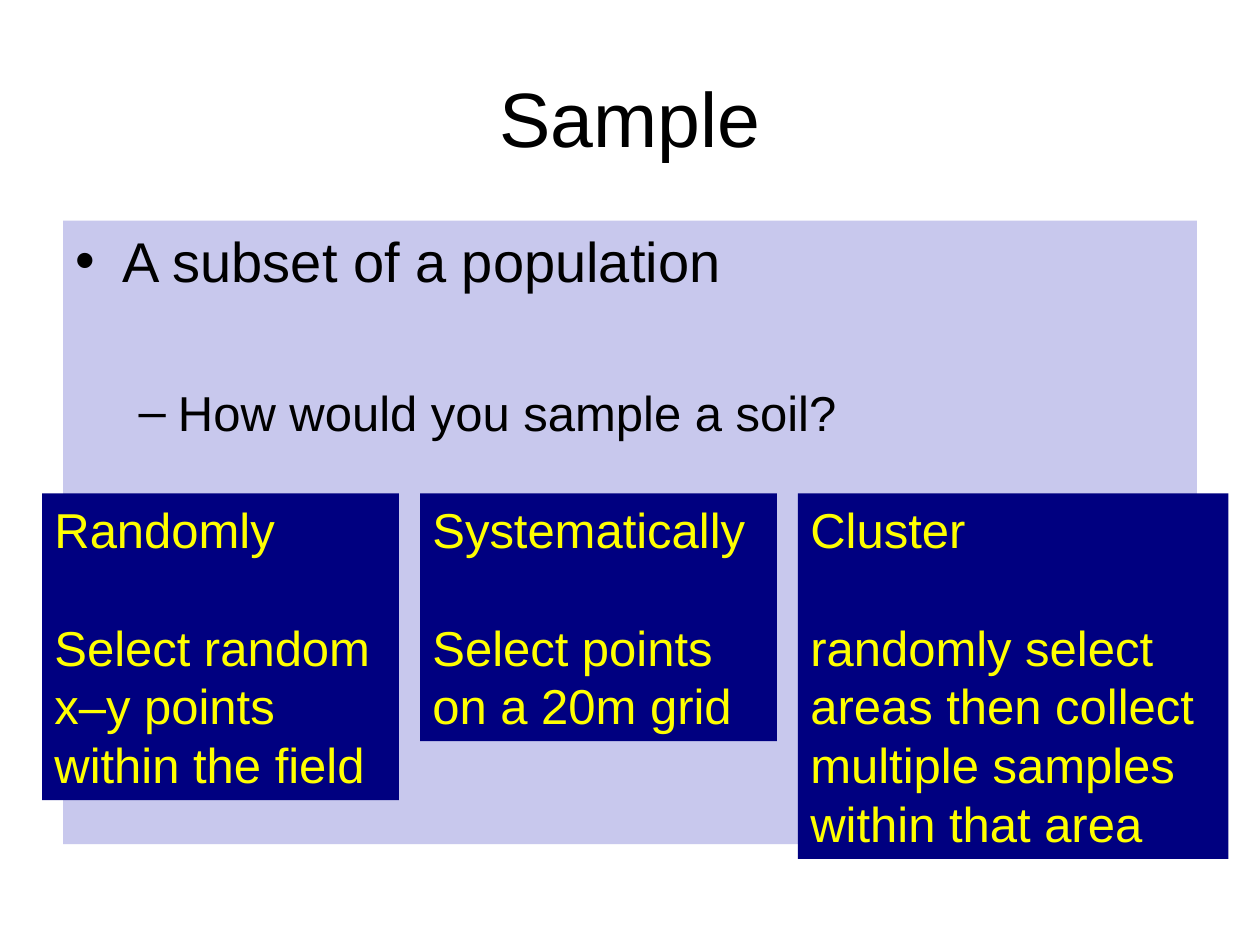
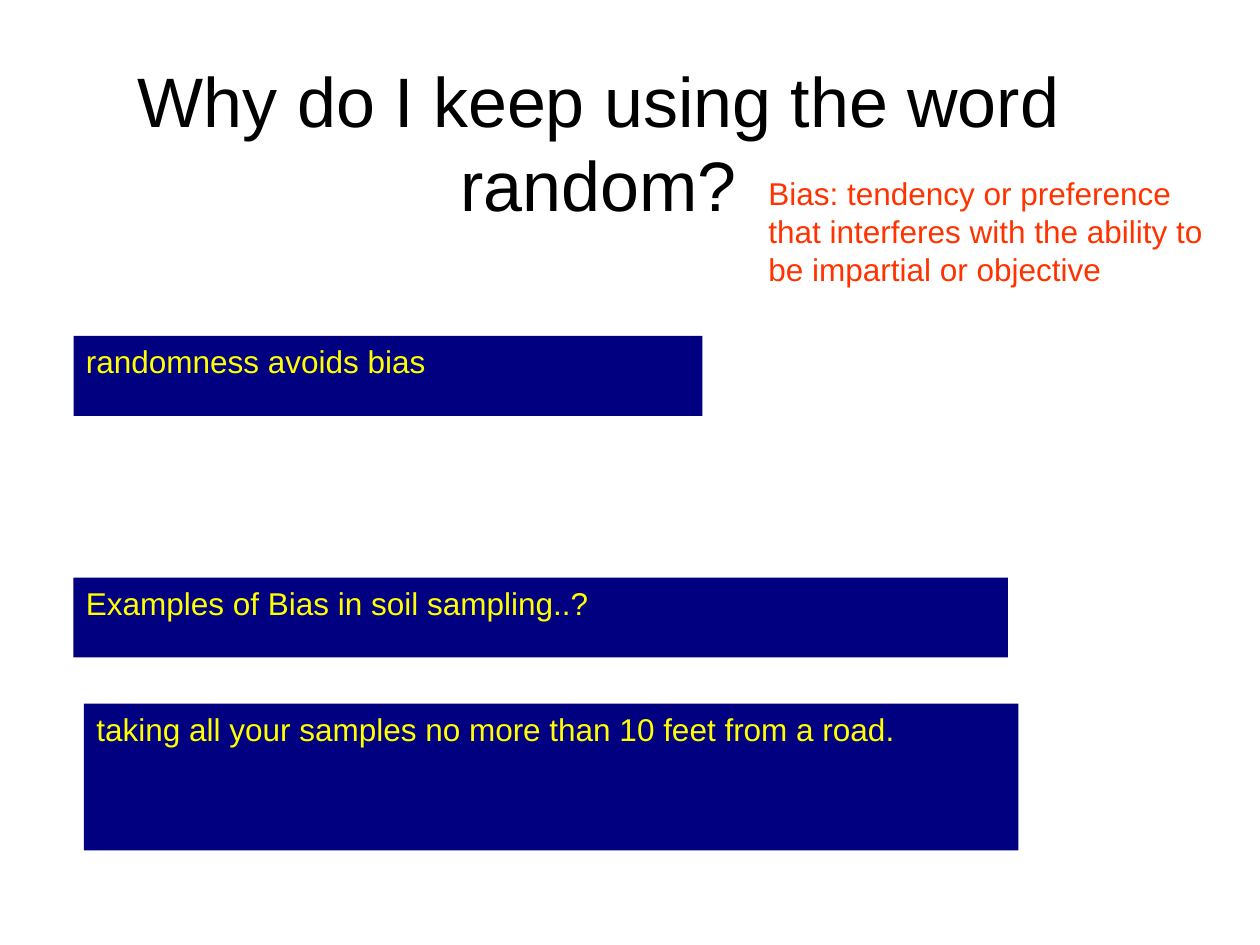
from dataclasses import dataclass
from lxml.etree import SubElement
from pptx import Presentation
from pptx.dml.color import RGBColor as Rgb
from pptx.enum.text import MSO_ANCHOR as Anchor, MSO_AUTO_SIZE as AutoSize, PP_ALIGN as Align
from pptx.oxml.ns import qn
from pptx.util import Inches, Pt

COLUMNS, ROWS = 120, 90  # grid laid over the slide


@dataclass(frozen=True)
class Theme:
    font: str = "Arial"
    ink: Rgb = Rgb.from_string("000000")
    paper: Rgb = Rgb.from_string("FFFFFF")
    navy: Rgb = Rgb.from_string("000080")
    yellow: Rgb = Rgb.from_string("FFFF00")
    red: Rgb = Rgb.from_string("FF3300")
    lavender: Rgb = Rgb.from_string("9C9CDF")
    lavender_opacity: int = 55
    title: int = 44
    long_title: int = 40
    topic: int = 32
    question: int = 28
    card: int = 28
    note: int = 18
    question_gap: float = 50.5
    card_gap: float = 33.5


THEME = Theme()


def place(item, column, row, columns, rows):
    """Set an element's place in grid units."""
    unit = Inches(10) / COLUMNS
    item.left, item.top, item.width, item.height = (
        round(n * unit) for n in (column, row, columns, rows))


def fill_solid(item, color, opacity=100):
    item.fill.solid()
    item.fill.fore_color.rgb = color
    if opacity < 100:
        tint = item.fill._xPr.find(qn("a:solidFill"))[0]
        SubElement(tint, qn("a:alpha"), val=str(opacity * 1000))


def write(paragraph, text, size, color=THEME.ink):
    run = paragraph.add_run()
    run.text = text
    run.font.name, run.font.size = THEME.font, Pt(size)
    run.font.color.rgb = color


def add_paragraph(frame, first):
    return frame.paragraphs[0] if first else frame.add_paragraph()


def set_title(slide, text, size, *area):
    title = slide.shapes.title
    place(title, *area)
    frame = title.text_frame
    frame.auto_size, frame.vertical_anchor = AutoSize.NONE, Anchor.MIDDLE
    heading = frame.paragraphs[0]
    heading.alignment = Align.CENTER
    write(heading, text, size)


def set_outline(slide, entries, *area):
    """Fill the body with (text, level, size, gap before or None)."""
    outline = slide.placeholders[1]
    place(outline, *area)
    fill_solid(outline, THEME.lavender, THEME.lavender_opacity)
    frame = outline.text_frame
    frame.auto_size = AutoSize.NONE
    for number, (text, level, size, gap) in enumerate(entries):
        entry = add_paragraph(frame, number == 0)
        entry.level = level
        if gap is not None:
            entry.space_before = Pt(gap)
        write(entry, text, size)


def add_panel(slide, lines, size, *area, color=THEME.yellow, back=THEME.navy, heading_gap=0):
    panel = slide.shapes.add_textbox(0, 0, 0, 0)
    place(panel, *area)
    fill_solid(panel, back)
    frame = panel.text_frame
    frame.word_wrap, frame.auto_size = True, AutoSize.NONE
    for number, text in enumerate(lines):
        line = add_paragraph(frame, number == 0)
        if number == 1:
            line.space_before = Pt(heading_gap)
        write(line, text, size, color)


def add_method_cards(slide, cards):
    """Set cards side by side, each as tall as its count of text rows."""
    left, gap, line_rows, padding = 4, 2, 5.6, 1.2
    for lines, columns, line_count in cards:
        add_panel(slide, lines, THEME.card, left, 47, columns,
                  line_count * line_rows + padding, heading_gap=THEME.card_gap)
        left += columns + gap


def build_sample(deck):
    slide = deck.slides.add_slide(deck.slide_layouts[1])
    set_title(slide, "Sample", THEME.title, 6, 3.6, 108, 15)
    set_outline(slide, [
        ("A subset of a population", 0, THEME.topic, None),
        ("How would you sample a soil?", 1, THEME.question, THEME.question_gap),
    ], 6, 21, 108, 59.4)
    add_method_cards(slide, [
        (["Randomly", "Select random", "x–y points within the field"], 34, 5),
        (["Systematically", "Select points on a 20m grid"], 34, 4),
        (["Cluster", "randomly select areas then collect multiple samples "
          "within that area"], 41, 6),
    ])


def build_random(deck):
    slide = deck.slides.add_slide(deck.slide_layouts[5])
    set_title(slide, "Why do I keep using the word random?", THEME.long_title, 3, 6, 108, 15)
    add_panel(slide, ["Bias: tendency or preference that interferes with the ability "
                      "to be impartial or objective"],
              THEME.note, 72, 16, 45, 12.1, color=THEME.red, back=THEME.paper)
    for text, *area in [
        ("randomness avoids bias", 7, 32, 59.9, 7.6),
        ("Examples of Bias in soil sampling..?", 7, 55, 89, 7.6),
        ("taking all your samples no more than 10 feet from a road.", 8, 67, 89, 14),
    ]:
        add_panel(slide, [text], THEME.note, *area)


def main():
    deck = Presentation()
    deck.slide_width, deck.slide_height = Inches(10), Inches(10 * ROWS / COLUMNS)
    build_sample(deck)
    build_random(deck)
    deck.save("out.pptx")


if __name__ == "__main__":
    main()
